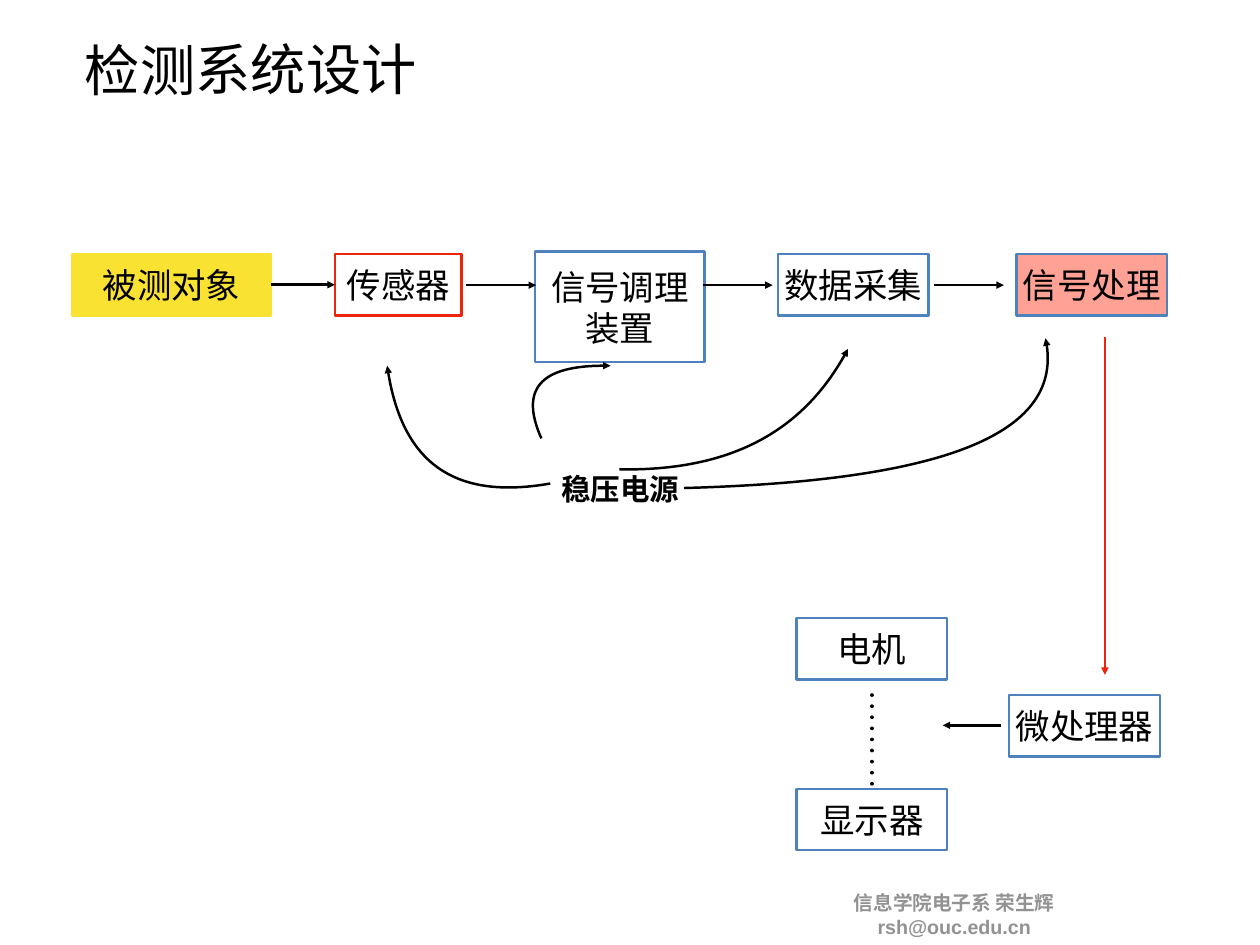
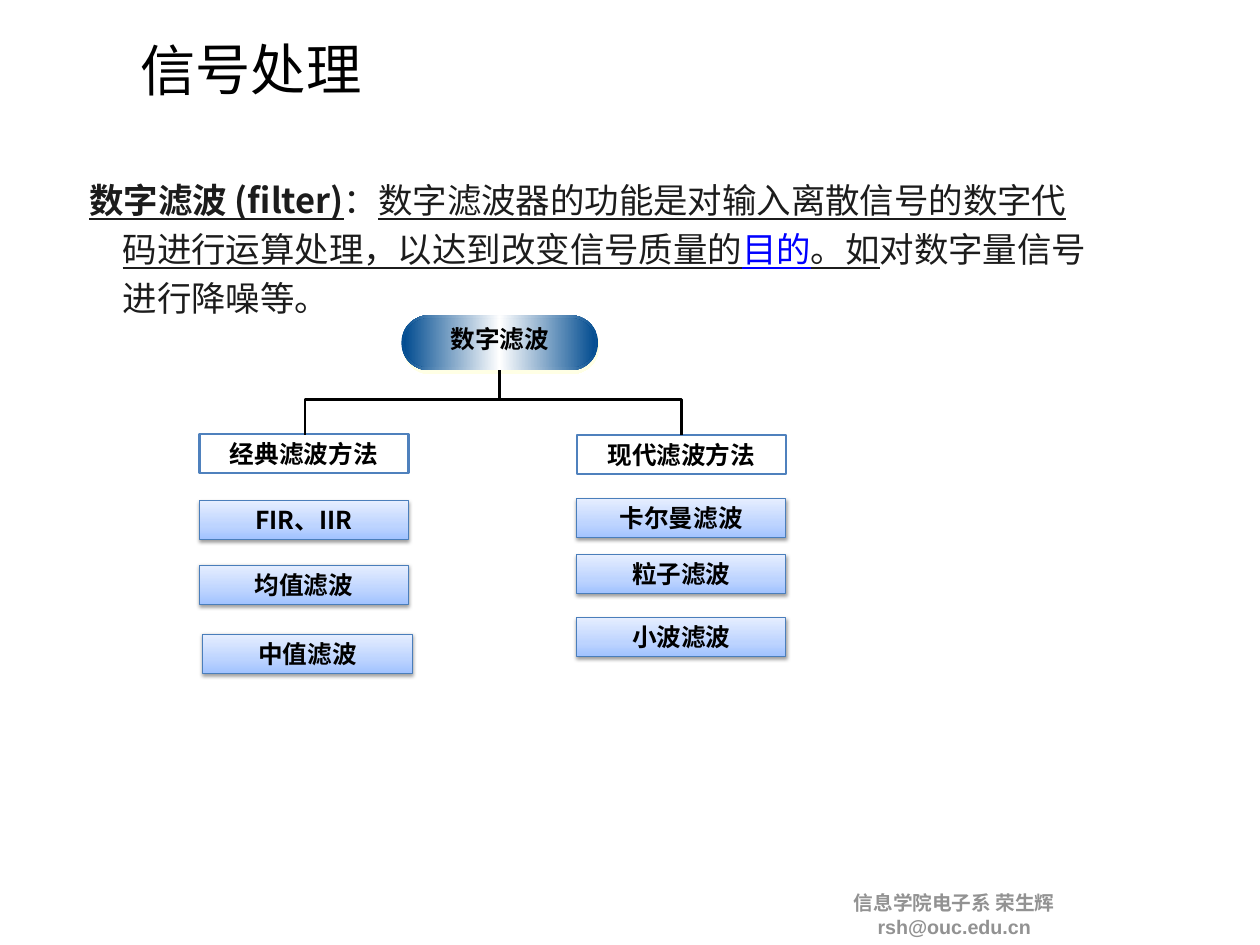
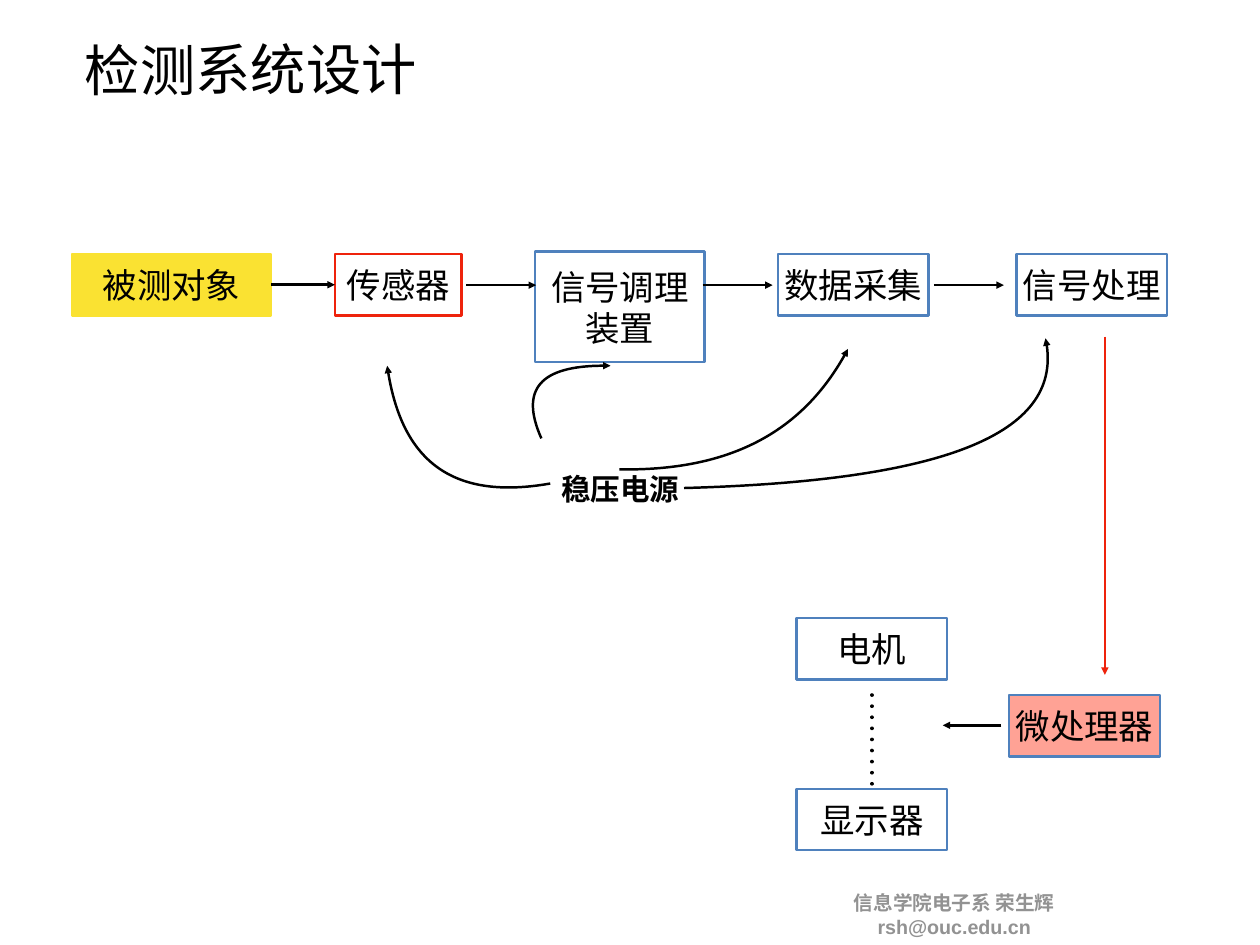
from dataclasses import dataclass
from typing import Any, NamedTuple, Optional

from lxml import etree
from pptx import Presentation
from pptx.dml.color import RGBColor
from pptx.enum.shapes import MSO_CONNECTOR as Link, MSO_SHAPE as Preset
from pptx.enum.text import MSO_ANCHOR as Anchor, MSO_AUTO_SIZE as AutoSize, PP_ALIGN as Align
from pptx.oxml.ns import qn
from pptx.util import Emu, Inches, Pt


# ---- Theme: colours, fonts, type sizes ----
@dataclass(frozen=True)
class Theme:
    ink: str = "000000"
    body_ink: str = "1C1C1C"
    keyword: str = "0000FF"
    muted: str = "929292"
    paper: str = "FFFFFF"
    frame: str = "4F81BD"
    card_frame: str = "4A7EBB"
    red: str = "EE230C"
    yellow: str = "FAE232"
    highlight: str = "FFA295"
    pill: tuple = ((0, "024C90"), (50, "FFFFFF"), (100, "024C90"))
    card: tuple = ((0, "A2C3FF"), (35, "BDD4FF"), (100, "E6EEFF"))
    cjk: str = "Noto Sans CJK SC"
    latin: str = "Arial"
    title_size: int = 45
    text_size: int = 28
    power_size: int = 24
    label_size: int = 20
    footer_size: int = 16


THEME = Theme()


# ---- Grid: square cells, ten to the inch; 142.2 columns by 106.7 rows ----
def cells(count: float) -> Emu:
    return Inches(count / 10)


class Area(NamedTuple):
    left: float
    top: float
    width: float
    height: float

    def emu(self) -> list[Emu]:
        return [cells(n) for n in self]

    def centred(self, width: float, height: float, lift: float = 0) -> "Area":
        return Area(self.left + (self.width - width) / 2,
                    self.top + (self.height - height) / 2 - lift, width, height)


class Point(NamedTuple):
    x: float
    y: float

    def emu(self) -> tuple[Emu, Emu]:
        return cells(self.x), cells(self.y)


class Shadow(NamedTuple):
    color: str
    opacity: int
    blur: float
    distance: float
    angle: int


class Stage(NamedTuple):
    name: str
    area: Area
    line: str = THEME.frame
    fill: Optional[str] = None


class Arrow(NamedTuple):
    start: Point
    end: Point
    color: str = THEME.ink


class Branch(NamedTuple):
    heading: str
    area: Area
    corner: Point
    methods: tuple[tuple[str, Area], ...]


# ---- Shared formats ----
FRAME = {"word_wrap": True, "auto_size": AutoSize.NONE, "vertical_anchor": Anchor.MIDDLE,
         **dict.fromkeys(("margin_left", "margin_top", "margin_right", "margin_bottom"),
                         cells(0.6))}
TITLE_LOOK = {"size": THEME.title_size, "bold": False}
STAGE_LOOK = {"size": THEME.text_size}
POWER_LOOK = {"size": THEME.power_size, "bold": True, "name": THEME.latin}
LABEL_LOOK = {"size": THEME.label_size, "bold": True}
FOOTER_LOOK = {"size": THEME.footer_size, "bold": True, "name": THEME.latin,
               "color": THEME.muted}
PILL_GLOW = Shadow("FFFFCC", 50, 0, 3.2, 72)
CARD_SHADOW = Shadow("000000", 38, 3, 1.6, 90)

# ---- Detection system content ----
STAGES = (
    Stage("被测对象", Area(8.1, 28.7, 22.5, 6.9), THEME.yellow, THEME.yellow),
    Stage("传感器", Area(37.8, 28.7, 14.3, 6.9), THEME.red),
    Stage("信号调理装置", Area(60.4, 28.4, 19.1, 12.5)),
    Stage("数据采集", Area(87.8, 28.7, 17, 6.9)),
    Stage("信号处理", Area(114.7, 28.7, 17, 6.9)),
    Stage("微处理器", Area(113.9, 78.5, 17, 6.9), fill=THEME.paper),
    Stage("电机", Area(89.9, 69.8, 17, 6.9), fill=THEME.paper),
    Stage("显示器", Area(89.9, 89.1, 17, 6.9), fill=THEME.paper),
)
ARROWS = (
    *(Arrow(Point(x, 32.2), Point(x + 7.9, 32.2)) for x in (52.6, 79.3, 105.4)),
    Arrow(Point(124.7, 38), Point(124.7, 76.2), THEME.red),
    Arrow(Point(113, 81.9), Point(106.4, 81.9)),
)
POWER_FEEDS = (
    (Point(62.1, 54.6), Point(51.3, 56.5), Point(45.2, 52.1), Point(43.7, 41.3)),
    (Point(61.1, 49.5), Point(58.6, 43.9), Point(61.2, 41.1), Point(68.9, 41.3)),
    (Point(69.9, 53), Point(82.2, 53.2), Point(90.8, 48.7), Point(95.7, 39.4)),
    (Point(77.2, 55.1), Point(106.7, 54.3), Point(120.3, 48.7), Point(118, 38.2)),
)

# ---- Digital filter content ----
DEFINITION = (
    ("数字滤波 (filter)", {"bold": True, "underline": True}),
    ("：", {}),
    ("数字滤波器的功能是对输入离散信号的数字代码进行运算处理，以达到改变信号质量的",
     {"underline": True}),
    ("目的", {"underline": True, "color": THEME.keyword}),
    ("。如", {"underline": True}),
    ("对数字量信号进行降噪等。", {}),
)
FORK = Point(56.4, 45.1)
CARD_W, CARD_H = 23.6, 4.4
BRANCHES = (
    Branch("经典滤波方法", Area(22.5, 49, CARD_W, CARD_H), Point(34.4, 49.1), (
        ("FIR、IIR", Area(22.5, 56.5, CARD_W, CARD_H)),
        ("均值滤波", Area(22.5, 63.8, CARD_W, CARD_H)),
        ("中值滤波", Area(22.9, 71.6, CARD_W, CARD_H)))),
    Branch("现代滤波方法", Area(65.1, 49.1, CARD_W, CARD_H), Point(76.9, 49.1), (
        ("卡尔曼滤波", Area(65.1, 56.3, CARD_W, CARD_H)),
        ("粒子滤波", Area(65.1, 62.6, CARD_W, CARD_H)),
        ("小波滤波", Area(65.1, 69.7, CARD_W, CARD_H)))),
)


# ---- Drawing helpers ----
def apply(target: Any, values: dict) -> None:
    for name, value in values.items():
        setattr(target, name, value)


def place(holder: Any, area: Area) -> None:
    apply(holder, dict(zip(("left", "top", "width", "height"), area.emu())))


def write(holder: Any, pieces: tuple, look: dict, align: Align = Align.CENTER,
          **frame_format: Any) -> Any:
    """Fill the first paragraph with (text, overrides) pieces and return it."""
    apply(holder.text_frame, {**FRAME, **frame_format})
    paragraph = holder.text_frame.paragraphs[0]
    paragraph.alignment = align
    for words, changes in pieces:
        values = {"name": THEME.cjk, "color": THEME.ink, **look, **changes}
        color, size = values.pop("color"), values.pop("size")
        run = paragraph.add_run()
        run.text = words
        apply(run.font, {**values, "size": Pt(size)})
        run.font.color.rgb = RGBColor.from_string(color)
        etree.SubElement(run._r.get_or_add_rPr(), qn("a:ea"), typeface=THEME.cjk)
    return paragraph


def add_label(shapes: Any, words: str, area: Area, look: dict, **frame_format: Any) -> Any:
    label = shapes.add_textbox(*area.emu())
    write(label, ((words, {}),), look, **{"word_wrap": False, **frame_format})
    return label


def stroke(drawn: Any, color: str, width: float = 2, arrow: bool = False) -> None:
    drawn.line.color.rgb = RGBColor.from_string(color)
    drawn.line.width = Pt(width)
    if arrow:
        etree.SubElement(drawn.element.xpath(".//a:ln")[0], qn("a:tailEnd"), type="triangle")


def add_box(shapes: Any, area: Area, preset: Preset = Preset.RECTANGLE,
            fill: Optional[str] = None, line: Optional[str] = None, width: float = 2) -> Any:
    box = shapes.add_shape(preset, *area.emu())
    box.shadow.inherit = False
    if fill:
        box.fill.solid()
        box.fill.fore_color.rgb = RGBColor.from_string(fill)
    else:
        box.fill.background()
    if line:
        stroke(box, line, width)
    else:
        box.line.fill.background()
    return box


def shade(box: Any, stops: tuple, angle: int) -> None:
    box.fill.gradient()
    box.fill.gradient_angle = angle
    ramp = box.element.xpath(".//a:gsLst")[0]
    for old in list(ramp):
        ramp.remove(old)
    for percent, color in stops:
        stop = etree.SubElement(ramp, qn("a:gs"), pos=str(percent * 1000))
        etree.SubElement(stop, qn("a:srgbClr"), val=color)


def cast(box: Any, shadow: Shadow) -> None:
    outer = etree.SubElement(
        box.element.xpath(".//a:effectLst")[0], qn("a:outerShdw"),
        blurRad=str(Pt(shadow.blur)), dist=str(Pt(shadow.distance)),
        dir=str(shadow.angle * 60000), algn="ctr", rotWithShape="0")
    tint = etree.SubElement(outer, qn("a:srgbClr"), val=shadow.color)
    etree.SubElement(tint, qn("a:alpha"), val=str(shadow.opacity * 1000))


def add_line(slide: Any, start: Point, end: Point, color: str = THEME.ink,
             width: float = 2, arrow: bool = False) -> Any:
    line = slide.shapes.add_connector(Link.STRAIGHT, *start.emu(), *end.emu())
    stroke(line, color, width, arrow)
    etree.SubElement(line.element.spPr, qn("a:effectLst"))
    return line


def add_outline(slide: Any, points: list[Point], arrow: bool = False) -> Any:
    builder = slide.shapes.build_freeform(*points[0].emu(), scale=1.0)
    builder.add_line_segments([point.emu() for point in points[1:]], close=False)
    outline = builder.convert_to_shape()
    outline.shadow.inherit = False
    outline.fill.background()
    stroke(outline, THEME.ink, arrow=arrow)
    return outline


def add_curve(slide: Any, controls: tuple[Point, ...], steps: int = 40) -> None:
    """Size the outline from points on the curve, then make it one Bezier segment."""
    def along(t: float) -> Point:
        weights = ((1 - t) ** 3, 3 * t * (1 - t) ** 2, 3 * t * t * (1 - t), t ** 3)
        return Point(*(sum(w * n for w, n in zip(weights, axis)) for axis in zip(*controls)))

    curve = add_outline(slide, [along(i / steps) for i in range(steps + 1)], arrow=True)
    trace = curve.element.xpath(".//a:path")[0]
    for segment in trace.findall(qn("a:lnTo")):
        trace.remove(segment)
    bezier = etree.SubElement(trace, qn("a:cubicBezTo"))
    for control in controls[1:]:
        x, y = control.emu()
        etree.SubElement(bezier, qn("a:pt"), x=str(x - curve.left), y=str(y - curve.top))


# ---- Parts shared by the slides ----
def add_footer(deck: Any, slide: Any) -> None:
    """Build the footer and hand it to the slide master."""
    footer = add_label(slide.shapes, "信息学院电子系 荣生辉 rsh@ouc.edu.cn",
                       Area(95.8, 101.4, 42, 3.8), FOOTER_LOOK, word_wrap=True,
                       margin_left=0, margin_right=cells(18.2))
    footer.element.xpath(".//p:cNvPr")[0].set("id", "20")
    deck.slide_master.shapes.element.append(footer.element)


def add_titled_slide(deck: Any, layout: str, words: str) -> Any:
    slide = deck.slides.add_slide(deck.slide_layouts.get_by_name(layout))
    title = slide.shapes.title
    place(title, Area(4, 1.7, 48.6, 12))
    title.rotation = 359.6
    write(title, ((words, {}),), TITLE_LOOK)
    return slide


# ---- Slides ----
def add_system_slide(deck: Any, highlighted: str) -> Any:
    slide = add_titled_slide(deck, "Title Only", "检测系统设计")
    boxes = {}
    for stage in STAGES:
        fill = THEME.highlight if stage.name == highlighted else stage.fill
        boxes[stage.name] = add_box(slide.shapes, stage.area, fill=fill, line=stage.line)
        write(boxes[stage.name], ((stage.name, {}),), STAGE_LOOK)

    # Power supply and its feeds
    add_label(slide.shapes, "稳压电源", Area(62.7, 52.3, 14.6, 5.7), POWER_LOOK)
    for controls in POWER_FEEDS:
        add_curve(slide, controls)

    # Signal flow
    sensing = add_line(slide, Point(30.6, 32.2), Point(37.8, 32.2), arrow=True)
    sensing.begin_connect(boxes["被测对象"], 3)
    sensing.end_connect(boxes["传感器"], 1)
    for arrow in ARROWS:
        add_line(slide, *arrow, arrow=True)

    # Round dots between the output devices
    dots = add_line(slide, Point(98.4, 88.5), Point(98.4, 77.4), width=3)
    pen = dots.element.xpath(".//a:ln")[0]
    pen.set("cap", "rnd")
    etree.SubElement(etree.SubElement(pen, qn("a:custDash")), qn("a:ds"),
                     d="100000", sp="200000")
    return slide


def add_card(slide: Any, words: str, area: Area, shaded: bool) -> None:
    shapes = slide.shapes.add_group_shape().shapes
    line, width = (THEME.card_frame, 0.75) if shaded else (THEME.frame, 2)
    plate = add_box(shapes, area, Preset.ROUNDED_RECTANGLE, THEME.paper, line, width)
    plate.adjustments[0] = 0
    if shaded:
        shade(plate, THEME.card, 90)
        cast(plate, CARD_SHADOW)
    add_label(shapes, words, area.centred(CARD_W if shaded else 17.8, 4.9), LABEL_LOOK)


def add_filter_slide(deck: Any) -> None:
    slide = add_titled_slide(deck, "Title and Content", "信号处理")

    # Definition
    body = slide.placeholders[1]
    place(body, Area(9.6, 18.9, 114.1, 17.7))
    paragraph = write(body, DEFINITION,
                      {"size": THEME.text_size, "color": THEME.body_ink, "bold": False},
                      Align.LEFT, vertical_anchor=Anchor.TOP,
                      margin_left=cells(0.5), margin_top=cells(0.5))
    apply(paragraph, {"line_spacing": 1.18, "space_before": Pt(0)})
    layout = paragraph._p.get_or_add_pPr()
    apply(layout, {"marL": 0, "indent": 0})
    etree.SubElement(layout, qn("a:buNone"))

    # Root of the tree
    root = Area(45.3, 35.6, 22.2, 6.2)
    shapes = slide.shapes.add_group_shape().shapes
    pills = []
    for area in (root, root.centred(21.6, 5.5)):
        pill = add_box(shapes, area, Preset.ROUNDED_RECTANGLE)
        pill.adjustments[0] = 0.5
        shade(pill, THEME.pill, 0)
        pills.append(pill)
    cast(pills[0], PILL_GLOW)
    add_label(shapes, "数字滤波", root.centred(12.3, 4.9, lift=0.5), LABEL_LOOK)
    trunk = add_line(slide, Point(FORK.x, root.top + root.height), FORK)
    trunk.begin_connect(pills[0], 2)

    # Branches and their methods
    for branch in BRANCHES:
        add_card(slide, branch.heading, branch.area, shaded=False)
        add_outline(slide, [FORK, Point(branch.corner.x, FORK.y), branch.corner])
        for method, area in branch.methods:
            add_card(slide, method, area, shaded=True)


def main() -> None:
    deck = Presentation()
    apply(deck, {"slide_width": cells(142.2), "slide_height": cells(106.7)})
    first = add_system_slide(deck, "信号处理")
    add_footer(deck, first)
    add_filter_slide(deck)
    add_system_slide(deck, "微处理器")
    deck.save("out.pptx")


if __name__ == "__main__":
    main()
